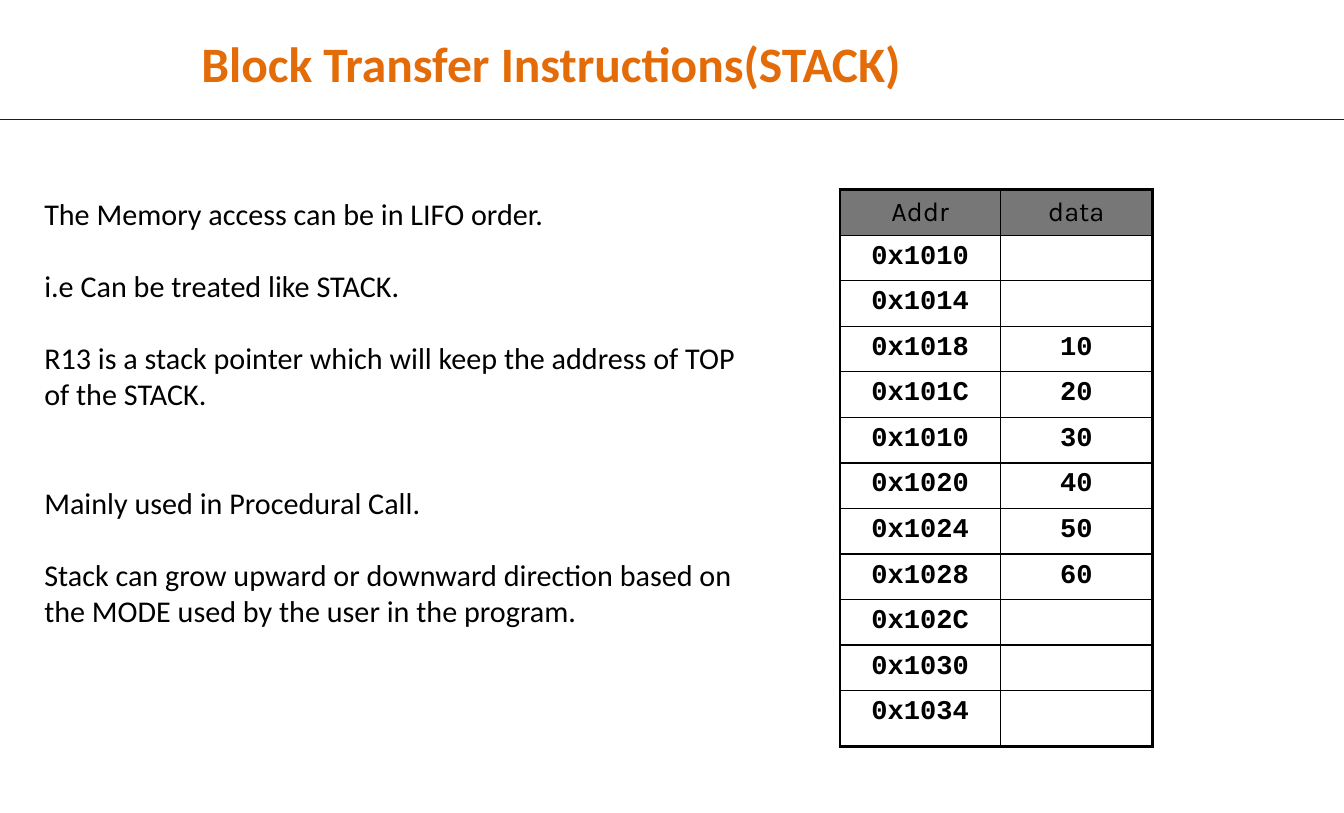
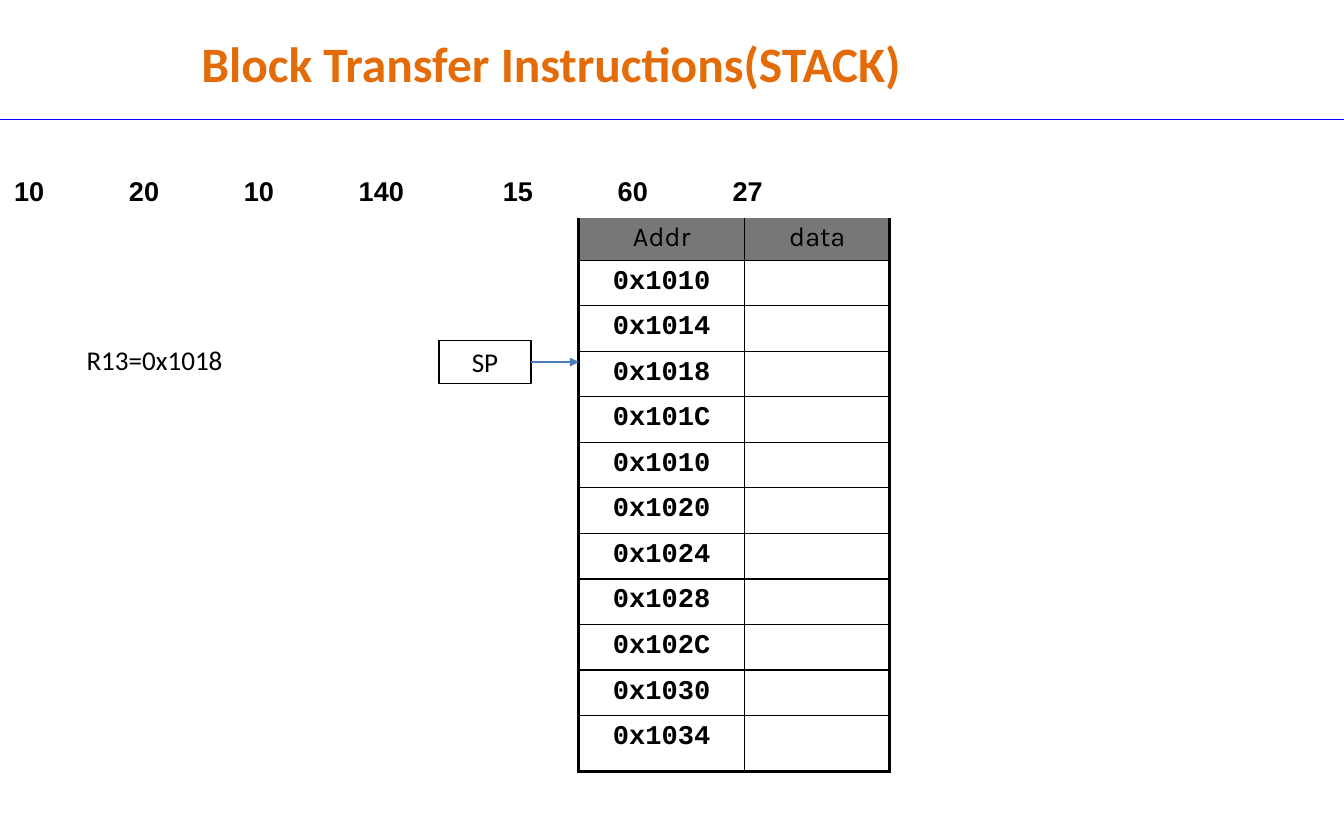
from lxml.etree import SubElement
from pptx import Presentation
from pptx.dml.color import RGBColor
from pptx.enum.shapes import MSO_CONNECTOR, MSO_SHAPE
from pptx.enum.text import MSO_ANCHOR, PP_ALIGN
from pptx.oxml.ns import qn
from pptx.util import Inches, Pt

COLORS = {"title": "E36C09", "rule": "0000FF", "ink": "000000",
          "header": "777777", "paper": "FFFFFF", "arrow": "4A7DBA"}
TITLE = {"name": "Calibri", "size": Pt(32.9), "bold": True}
BODY = {"name": "Calibri", "size": Pt(20)}
LABEL = {"name": "Calibri", "size": Pt(18)}
HEADER = {"name": "Karla", "size": Pt(18), "bold": False}
CODE = {"name": "Courier New", "size": Pt(18), "bold": True}
VALUE = {"name": "Arial", "size": Pt(18), "bold": True}

WIDTH, HEIGHT = 12.4, 7.5
ROW, LAST_ROW = 0.41, 0.52
THIN, THICK = 1, 2.25
ADDRESSES = ["0x1010", "0x1014", "0x1018", "0x101C", "0x1010", "0x1020",
             "0x1024", "0x1028", "0x102C", "0x1030", "0x1034"]


def color(name):
    return RGBColor.from_string(COLORS[name])


class StackDeck:
    """Holds the shared style and the slide being built."""

    def __init__(self):
        self.deck = Presentation()
        self.deck.slide_width = Inches(WIDTH)
        self.deck.slide_height = Inches(HEIGHT)
        self.page = None

    def new_page(self, title):
        self.page = self.deck.slides.add_slide(self.deck.slide_layouts[6])
        self.line((0, 1.1), (WIDTH, 1.1), "rule")
        self.text((1.76, 0.24, 8, 0.67), [(title, 0)], TITLE, "title",
                  anchor=MSO_ANCHOR.MIDDLE)

    def fill_text(self, frame, lines, style, ink="ink", align=PP_ALIGN.LEFT):
        """Set (text, space before) pairs as paragraphs."""
        for index, (words, space) in enumerate(lines):
            para = frame.add_paragraph() if index else frame.paragraphs[0]
            para.alignment = align
            if space:
                para.space_before = Pt(space)
            span = para.add_run()
            span.text = words
            for key, value in style.items():
                setattr(span.font, key, value)
            span.font.color.rgb = color(ink)

    def text(self, place, lines, style, ink="ink", anchor=MSO_ANCHOR.TOP):
        box = self.page.shapes.add_textbox(*map(Inches, place))
        box.text_frame.word_wrap = True
        box.text_frame.vertical_anchor = anchor
        self.fill_text(box.text_frame, lines, style, ink)

    def label_box(self, place, words):
        box = self.page.shapes.add_shape(MSO_SHAPE.RECTANGLE, *map(Inches, place))
        box.shadow.inherit = False
        box.fill.background()
        box.line.color.rgb = color("ink")
        box.line.width = Pt(0.75)
        box.text_frame.vertical_anchor = MSO_ANCHOR.TOP
        self.fill_text(box.text_frame, [(words, 0)], LABEL, align=PP_ALIGN.CENTER)

    def line(self, start, end, ink, arrow=False):
        line = self.page.shapes.add_connector(
            MSO_CONNECTOR.STRAIGHT, *map(Inches, (*start, *end)))
        line.line.color.rgb = color(ink)
        line.line.width = Pt(0.75)
        if arrow:
            SubElement(line.line._get_or_add_ln(), qn("a:tailEnd"), type="triangle")
        SubElement(line._element.spPr, qn("a:effectLst"))

    def grid(self, left, top, widths, heights):
        frame = self.page.shapes.add_table(
            len(heights), len(widths),
            *map(Inches, (left, top, sum(widths), sum(heights))))
        table = frame.table
        table.first_row = table.horz_banding = False
        for column, width in zip(table.columns, widths):
            column.width = Inches(width)
        for row, height in zip(table.rows, heights):
            row.height = Inches(height)
        return table

    def cell(self, cell, words, style, fill, ink, borders, align, insets):
        """Borders are widths in points: left, right, top, bottom."""
        props = cell._tc.get_or_add_tcPr()
        for side, width in zip("LRTB", borders):
            edge = SubElement(props, qn(f"a:ln{side}"), w=str(Pt(width)))
            paint = SubElement(edge, qn("a:solidFill"))
            SubElement(paint, qn("a:srgbClr"), val=COLORS[ink])
        cell.fill.solid()
        cell.fill.fore_color.rgb = color(fill)
        if words:
            cell.margin_left = cell.margin_right = Inches(insets[0])
            cell.margin_top = cell.margin_bottom = Inches(insets[1])
            self.fill_text(cell.text_frame, [(words, 0)], style, align=align)

    def memory(self, left, top, widths, data):
        """Address and data table; data maps an address row to its value."""
        rows = [("Addr", "data")]
        rows += [(address, data.get(index, "")) for index, address in enumerate(ADDRESSES)]
        last = len(rows) - 1
        table = self.grid(left, top, widths, [ROW] * last + [LAST_ROW])
        for r, row in enumerate(rows):
            style, fill = (CODE, "paper") if r else (HEADER, "header")
            for c, words in enumerate(row):
                outer = (c == 0, c == 1, r == 0, r == last)
                borders = [THICK if edge else THIN for edge in outer]
                self.cell(table.cell(r, c), words, style, fill, "ink",
                          borders, PP_ALIGN.CENTER, (0.12, 0.06))

    def values(self, left, top, widths, numbers):
        table = self.grid(left, top, widths, [ROW])
        for c, number in enumerate(numbers):
            self.cell(table.cell(0, c), number, VALUE, "paper", "paper",
                      (1, 1, 1, 3), PP_ALIGN.LEFT, (0.09, 0.05))


def main():
    stack = StackDeck()
    title = "Block Transfer Instructions(STACK)"

    # Stack explained
    stack.new_page(title)
    stack.memory(7.75, 1.75, (1.48, 1.4),
                 {row: str(10 * (row - 1)) for row in range(2, 8)})
    stack.text((0.31, 1.75, 6.61, 4.14), [
        ("The Memory access can be in LIFO order.", 0),
        ("i.e Can be treated like STACK.", 24),
        ("R13 is a stack pointer which will keep the address of TOP of the STACK.", 24),
        ("Mainly used in Procedural Call.", 48),
        ("Stack can grow upward or downward direction based on the MODE used "
         "by the user in the program.", 24),
    ], BODY)

    # Empty stack with its pointer
    stack.new_page(title)
    stack.memory(5.34, 1.98, (1.53, 1.34), {})
    stack.values(0.04, 1.58, (1.06, 1.06, 1.06, 1.33, 1.06, 1.06, 2.31),
                 ("10", "20", "10", "140", "15", "60", "27"))
    stack.label_box((4.05, 3.14, 0.85, 0.4), "SP")
    stack.line((4.9, 3.34), (5.34, 3.34), "arrow", arrow=True)
    stack.text((0.7, 3.12, 1.82, 0.4), [("R13=0x1018", 0)], LABEL)

    stack.deck.save("out.pptx")


if __name__ == "__main__":
    main()
